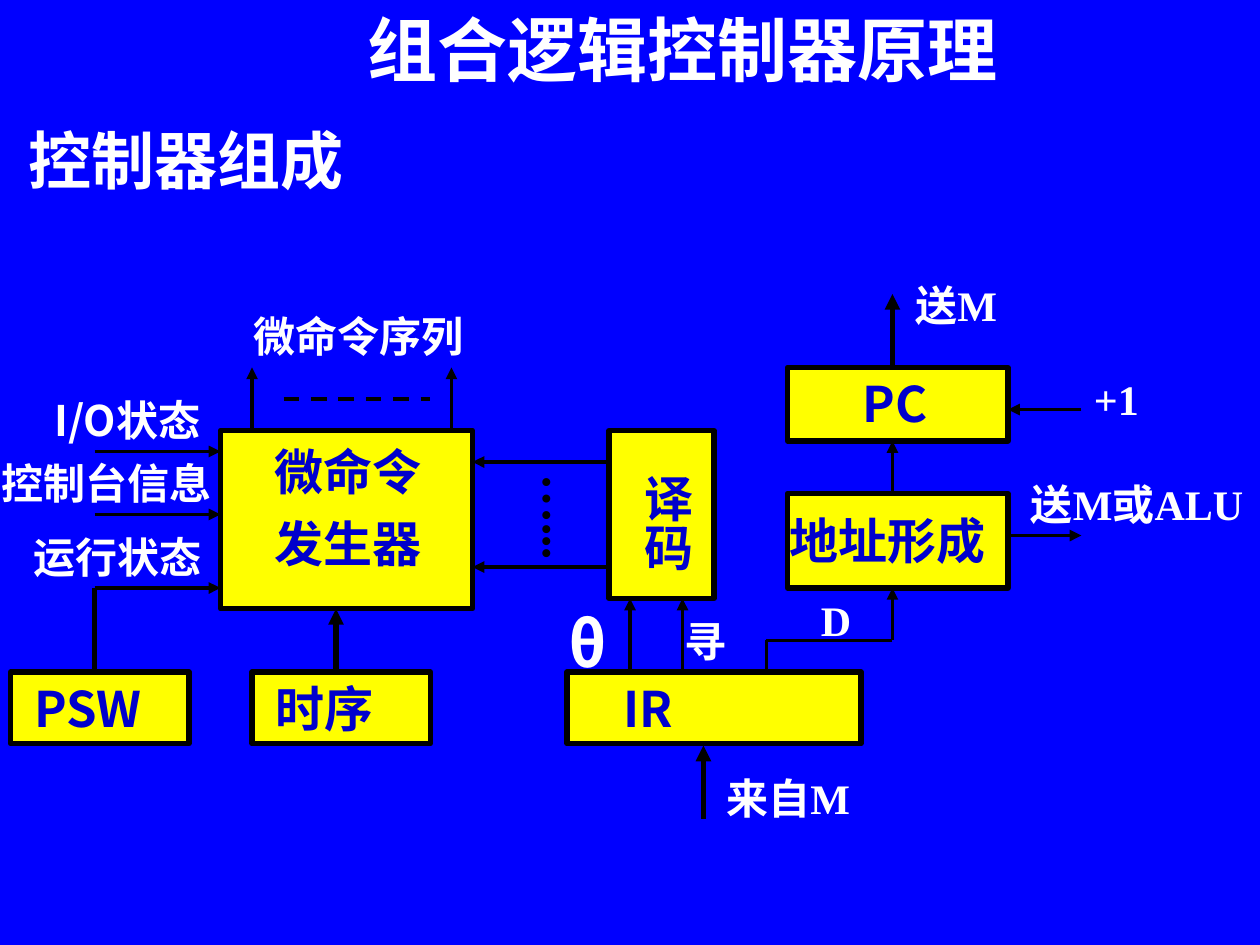
from lxml import etree
from pptx import Presentation
from pptx import util as u
from pptx.dml.color import RGBColor
from pptx.enum import dml, shapes, text
from pptx.oxml.ns import qn

BLUE, WHITE, YELLOW, BLACK, NAVY = "0000FF", "FFFFFF", "FFFF00", "000000", "0000CC"
SERIF, SANS = "Times New Roman", "Noto Sans CJK SC"


def color(value):
    return RGBColor.from_string(value)


def points(*lengths):
    return [u.Pt(length) for length in lengths]


class Diagram:
    def __init__(self, slide):
        self.slide = slide
        slide.background.fill.solid()
        slide.background.fill.fore_color.rgb = color(BLUE)

    def set_words(self, frame, words, size, ink, face, align=text.PP_ALIGN.LEFT,
                  spacing=None, indent=0):
        frame.word_wrap = True
        frame.vertical_anchor = text.MSO_ANCHOR.TOP
        frame.margin_left = u.Pt(7.2 + indent)
        for number, line in enumerate(words.split("\n")):
            paragraph = frame.paragraphs[0] if number == 0 else frame.add_paragraph()
            paragraph.text = line
            paragraph.alignment = align
            paragraph.line_spacing = spacing
            if number:
                paragraph.space_before = u.Pt(17.5)
            font = paragraph.font
            font.name, font.size, font.bold = face, u.Pt(size), True
            font.color.rgb = color(ink)
            latin = paragraph._p.pPr.find(qn("a:defRPr")).find(qn("a:latin"))
            east = etree.Element(qn("a:ea"), typeface=SANS)
            latin.addnext(east)

    def label(self, words, left, top, width, height=36, size=24, ink=WHITE,
              face=SERIF, **style):
        area = self.slide.shapes.add_textbox(*points(left, top, width, height))
        self.set_words(area.text_frame, words, size, ink, face, **style)

    def vertical_label(self, words, left, top, ink):
        area = self.slide.shapes.add_textbox(*points(left, top, 47.5, 78))
        frame = area.text_frame
        self.set_words(frame, words, 28, ink, SERIF)
        frame.margin_left = frame.margin_right = u.Pt(3.6)
        frame.margin_top = frame.margin_bottom = u.Pt(7.2)
        frame._txBody.bodyPr.set("vert", "eaVert")

    def box(self, left, top, width, height, words="", indent=0):
        block = self.slide.shapes.add_shape(
            shapes.MSO_SHAPE.RECTANGLE, *points(left, top, width, height))
        block.shadow.inherit = False
        block.fill.solid()
        block.fill.fore_color.rgb = color(YELLOW)
        block.line.color.rgb = color(BLACK)
        block.line.width = u.Pt(3)
        if words:
            self.set_words(block.text_frame, words, 28, NAVY, SANS, indent=indent)

    def wire(self, x1, y1, x2, y2, weight=2.25, arrow=True, dashed=False):
        wire = self.slide.shapes.add_connector(
            shapes.MSO_CONNECTOR.STRAIGHT, *points(x1, y1, x2, y2))
        wire.line.color.rgb = color(BLACK)
        wire.line.width = u.Pt(weight)
        if dashed:
            wire.line.dash_style = dml.MSO_LINE.DASH
        if arrow:
            outline = wire._element.spPr.find(qn("a:ln"))
            etree.SubElement(outline, qn("a:tailEnd"), type="triangle")
        etree.SubElement(wire._element.spPr, qn("a:effectLst"))


def main():
    deck = Presentation()
    deck.slide_width, deck.slide_height = points(720, 540)
    diagram = Diagram(deck.slides.add_slide(deck.slide_layouts[6]))

    diagram.label("组合逻辑控制器原理", 108, 0, 564, 55.5, 40, align=text.PP_ALIGN.CENTER)
    diagram.label("控制器组成", 9, 66, 238, 50.5, 36)

    diagram.box(126, 246, 144, 102)
    diagram.box(348, 246, 60, 96)
    diagram.box(450, 210, 126, 42)
    diagram.box(450, 282, 126, 54)
    for words, left, width, indent in [("PSW", 6, 102, 6.3), ("时序", 144, 102, 6.3),
                                       ("IR", 324, 168, 25.2)]:
        diagram.box(left, 384, width, 41, words, indent)

    diagram.label("微命令\n发生器", 150, 258, 102, 72, 28, NAVY, spacing=0.7)
    diagram.vertical_label("译码", 354, 264, NAVY)
    diagram.vertical_label("…...", 294.5, 264, BLACK)
    diagram.label("地址形成", 444, 288, 162, 41, 28, NAVY)
    diagram.label("PC", 486, 210, 102, 41, 28, NAVY, SANS)

    diagram.wire(162, 228, 246, 228, arrow=False, dashed=True)
    for command_x in (144, 258):
        diagram.wire(command_x, 246, command_x, 210)
    for status_y in (258, 294, 336):
        diagram.wire(54, status_y, 126, status_y)
    for decoded_y in (264, 324):
        diagram.wire(348, decoded_y, 270, decoded_y)
    for field_x in (360, 390):
        diagram.wire(field_x, 384, field_x, 342)
    diagram.wire(54, 336, 54, 384, 3, arrow=False)
    diagram.wire(192, 384, 192, 348, 3)
    diagram.wire(402, 468, 402, 426, 3)
    diagram.wire(510, 210, 510, 168, 3)
    diagram.wire(510, 282, 510, 252)
    diagram.wire(618, 234, 576, 234)
    diagram.wire(576, 306, 618, 306)
    diagram.wire(438, 384, 438, 366, arrow=False)
    diagram.wire(438, 366, 510, 366, arrow=False)
    diagram.wire(510, 366, 510, 336)

    diagram.label("微命令序列", 138, 174, 138)
    diagram.label("I/O状态", 24, 222, 114, face=SANS)
    diagram.label("控制台信息", -6, 258, 138)
    diagram.label("运行状态", 12, 300, 114)
    diagram.label("θ", 318, 342, 90, 50.5, 36, face=SANS)
    diagram.label("D", 462, 336, 78)
    diagram.label("寻", 384, 348, 78)
    diagram.label("来自M", 408, 438, 138)
    diagram.label("送M或ALU", 582, 270, 138, 65)
    diagram.label("+1", 618, 210, 78)
    diagram.label("送M", 516, 156, 78)

    deck.save("out.pptx")


if __name__ == "__main__":
    main()
